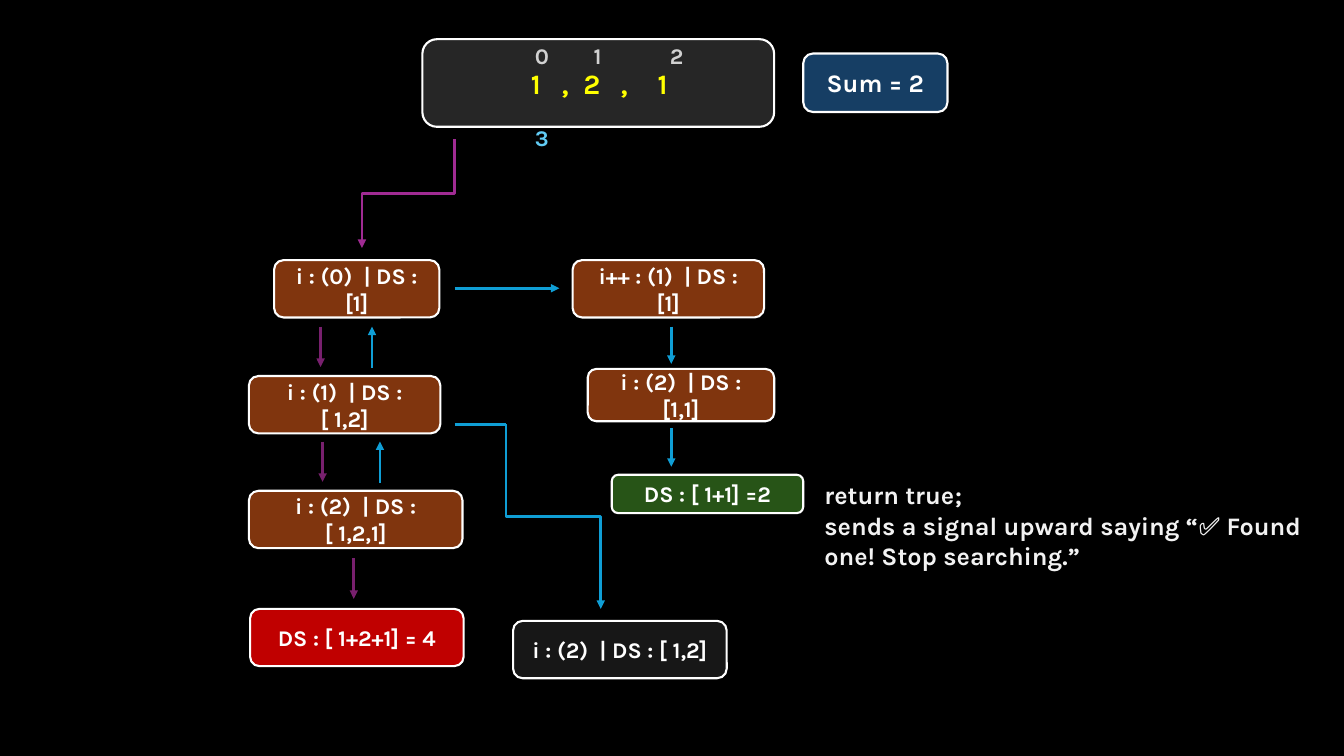
from lxml import etree
from pptx import Presentation
from pptx.dml.color import RGBColor
from pptx.enum.shapes import MSO_CONNECTOR, MSO_SHAPE
from pptx.enum.text import MSO_ANCHOR, PP_ALIGN
from pptx.oxml.ns import qn
from pptx.util import Pt

RECT, ROUND = MSO_SHAPE.RECTANGLE, MSO_SHAPE.ROUNDED_RECTANGLE
STRAIGHT, ELBOW = MSO_CONNECTOR.STRAIGHT, MSO_CONNECTOR.ELBOW
LEFT, CENTER = PP_ALIGN.LEFT, PP_ALIGN.CENTER
TOP, MIDDLE = MSO_ANCHOR.TOP, MSO_ANCHOR.MIDDLE
rgb = RGBColor.from_string

BLACK, WHITE = "000000", "FFFFFF"
BROWN, RED, GREEN, DARK = "80350E", "C00000", "275417", "171717"
PURPLE, MAGENTA, BLUE = "78206E", "A02B93", "0F9ED5"

prs = Presentation()
prs.slide_width, prs.slide_height = Pt(960), Pt(540)
s = prs.slides.add_slide(prs.slide_layouts[6])


def add_text(text, x, y, w, h, fill=None, size=16, color=WHITE,
             align=CENTER, inset=7.2, tabs=()):
    """Add a rounded box, or a plain text box when there is no fill."""
    area = Pt(x), Pt(y), Pt(w), Pt(h)
    if fill:
        sp = s.shapes.add_shape(ROUND, *area)
        sp.shadow.inherit = False
        sp.fill.solid()
        sp.fill.fore_color.rgb = rgb(fill)
        sp.line.color.rgb = rgb(WHITE)
        sp.line.width = Pt(1.5)
    else:
        sp = s.shapes.add_textbox(*area)
    tf = sp.text_frame
    tf.word_wrap = True
    tf.margin_left = Pt(inset)
    tf.vertical_anchor = MIDDLE if fill else TOP
    tf.text = text
    for p in tf.paragraphs:
        p.alignment = align
        if tabs:
            tab_list = etree.SubElement(p._p.get_or_add_pPr(), qn("a:tabLst"))
            for pos in tabs:
                etree.SubElement(tab_list, qn("a:tab"), pos=str(Pt(pos)), algn="l")
        for r in p.runs:
            r.font.name = "Karla"
            r.font.size = Pt(size)
            r.font.bold = True
            r.font.color.rgb = rgb(color)


def add_arrow(x1, y1, x2, y2, color, elbow=False, head=True):
    """Add a straight arrow, or an elbow that leaves and arrives vertically."""
    ends = x1, y1, x2, y2
    if elbow:
        # Lay the elbow on its side around its centre, then turn it upright
        cx, cy = (x1 + x2) / 2, (y1 + y2) / 2
        half_w, half_h = (y2 - y1) / 2, abs(x2 - x1) / 2
        side = 1 if x2 < x1 else -1
        ends = cx - side * half_w, cy - half_h, cx + side * half_w, cy + half_h
    c = s.shapes.add_connector(ELBOW if elbow else STRAIGHT, *map(Pt, ends))
    if elbow:
        c._element.spPr.find(qn("a:xfrm")).set("rot", str(side * 90 % 360 * 60000))
    c.line.color.rgb = rgb(color)
    c.line.width = Pt(2)
    if head:
        etree.SubElement(c.line._get_or_add_ln(), qn("a:tailEnd"), type="triangle")
    etree.SubElement(c._element.spPr, qn("a:effectLst"))


# Black backdrop
sp = s.shapes.add_shape(RECT, 0, 0, prs.slide_width, prs.slide_height)
sp.shadow.inherit = False
sp.fill.solid()
sp.fill.fore_color.rgb = rgb(BLACK)
sp.line.color.rgb = rgb(BLACK)
sp.line.width = Pt(1.5)

# Input array with its indexes, and the target sum
add_text("1\t,\t2\t,\t1", 301.7, 28, 251.3, 62.6, fill="262626", size=20,
         color="FFFF00", align=LEFT, inset=74.5, tabs=(22, 37.5, 64, 90.5))
add_text("0\t1\t2", 375, 26.6, 144, 26.6, color="D1D1D1", align=LEFT,
         tabs=(42, 96.5))
add_text("3", 375, 85.4, 40, 26.6, color="61CBF4", align=LEFT)
add_text("Sum = 2", 573.8, 38.2, 103, 41.8, fill="163E64", size=18)

# Recursion states
for text, x, y, w, h, fill in [
    ("i : (0)  | DS : [1]", 195.8, 185.8, 118.1, 41, BROWN),
    ("i : (1)  | DS : [ 1,2]", 177.8, 268.6, 136.8, 41, BROWN),
    ("i : (2)  | DS : [ 1,2,1]", 177.8, 350.6, 152.6, 41, BROWN),
    ("DS : [ 1+2+1] = 4", 178.6, 434.9, 152.6, 41, RED),
    ("i++ : (1)  | DS : [1]", 409, 185.8, 136.8, 41, BROWN),
    ("i : (2)  | DS : [1,1]", 419.8, 263.5, 133.2, 37.4, BROWN),
    ("DS : [ 1+1] =2", 437, 339.1, 136.8, 27.4, GREEN),
    ("i : (2)  | DS : [ 1,2]", 366.5, 443.5, 152.6, 41, DARK),
]:
    add_text(text, x, y, w, h, fill=fill)

# Vertical arrows: calls down, returns up
for x, y1, y2, color in [
    (229, 233.3, 262.1, PURPLE),
    (230.4, 315.4, 344.2, PURPLE),
    (252.7, 398.9, 427.7, PURPLE),
    (271.4, 344.9, 315.4, BLUE),
    (265.7, 262.8, 233.3, BLUE),
    (479.5, 233.3, 259.9, BLUE),
    (479.5, 306, 333.4, BLUE),
]:
    add_arrow(x, y1, x, y2, color)

# Branches
add_arrow(324.7, 99.4, 258.5, 177.1, MAGENTA, elbow=True)
add_arrow(324.7, 205.9, 399.6, 205.9, BLUE)
add_arrow(324.7, 303.1, 361.4, 303.1, BLUE, head=False)
add_arrow(361.4, 303.1, 429.1, 434.9, BLUE, elbow=True)

# Result note
add_text("return true;\nsends a signal upward saying “✅ Found one! Stop searching.”",
         581.8, 339.1, 378, 72.7, size=18, color="F2F2F2", align=LEFT)

prs.save("out.pptx")
